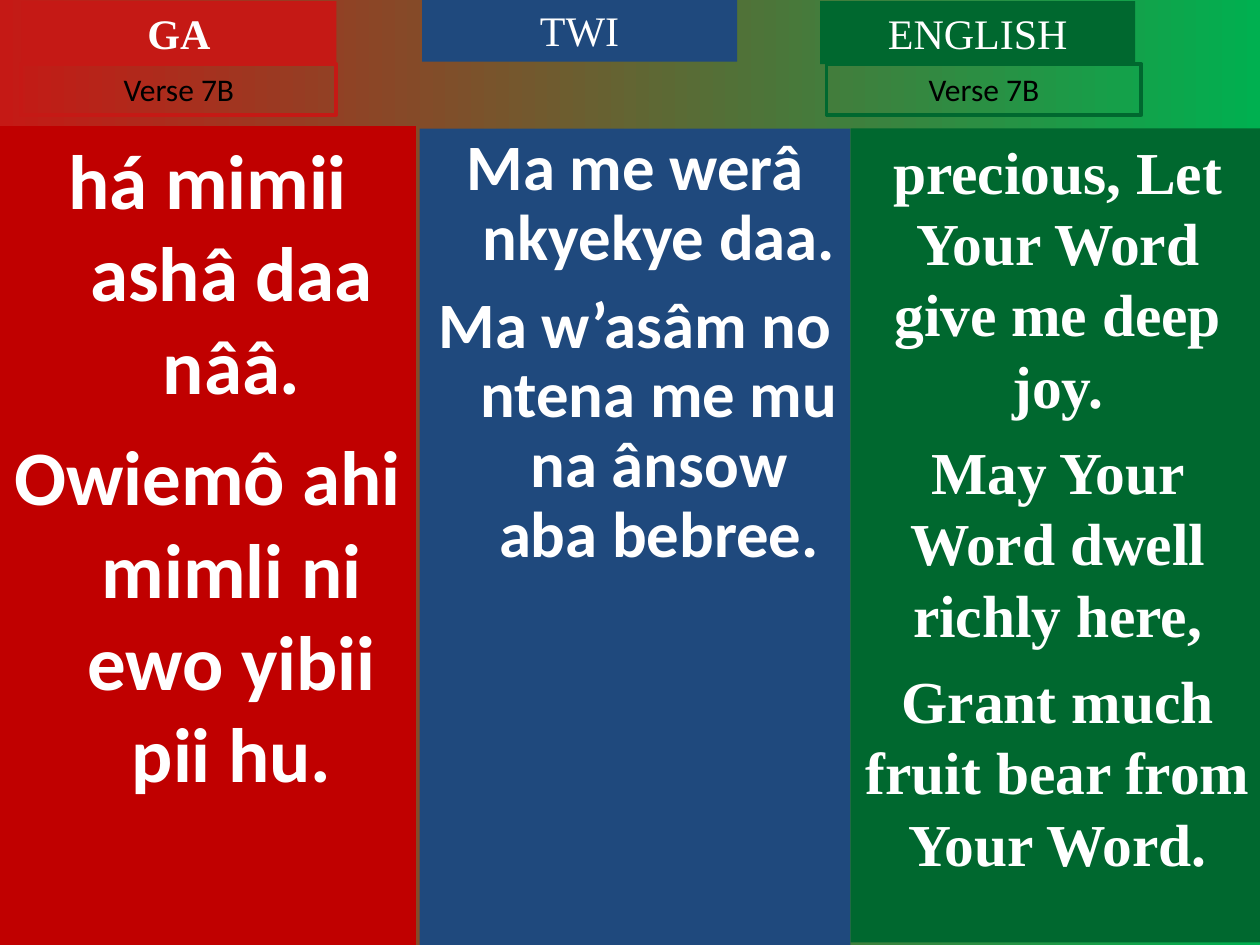
from pptx import Presentation
from pptx.dml.color import RGBColor
from pptx.enum.shapes import MSO_SHAPE
from pptx.enum.text import MSO_ANCHOR, MSO_AUTO_SIZE, PP_ALIGN
from pptx.oxml.ns import qn
from pptx.util import Inches, Pt
from lxml import etree

RECTANGLE = MSO_SHAPE.RECTANGLE
TOP = MSO_ANCHOR.TOP
NO_AUTOFIT = MSO_AUTO_SIZE.NONE
CENTER = PP_ALIGN.CENTER

COLORS = {
    "red": "C51915", "deep red": "C00000", "blue": "1F497D",
    "dark green": "00682F", "green": "00B050",
    "white": "FFFFFF", "black": "000000",
}
SERIF, SANS = "Times New Roman", "Calibri"
HANGING = 0.38

# Each box is left, top, width, height in inches; holder is a placeholder index.
VERSES = [
    {"box": (0, 1, 3.3, 6.5), "fill": "deep red", "holder": 1,
     "lines": ["há mimii ashâ daa nââ.",
               "Owiemô ahi mimli ni ewo yibii pii hu."],
     "format": dict(size=44, font=SANS, bold=True, before=11, hanging=HANGING)},
    {"box": (3.33, 1.02, 3.42, 6.48), "fill": "blue", "holder": 2,
     "lines": ["Ma me werâ nkyekye daa.",
               "Ma w’asâm no ntena me mu na ânsow aba bebree."],
     "format": dict(size=37, font=SANS, bold=True, before=10, hanging=HANGING,
                    spacing=0.9)},
    {"box": (6.75, 1.02, 3.29, 6.46), "fill": "dark green",
     "lines": ["precious, Let Your Word give me deep joy.",
               "May Your Word dwell richly here,",
               "Grant much fruit bear from Your Word."],
     "format": dict(size=34, font=SERIF, bold=True, before=8.5)},
]
HEADINGS = [
    {"box": (0.17, 0.01, 2.5, 0.5), "fill": "red", "holder": 0,
     "lines": ["GA"], "format": dict(size=24, font=SERIF, bold=True)},
    {"box": (3.35, -0.01, 2.5, 0.5), "fill": "blue",
     "lines": ["TWI"], "format": dict(size=24, font=SERIF)},
    {"box": (6.51, 0.01, 2.5, 0.5), "fill": "dark green",
     "lines": ["ENGLISH"], "format": dict(size=24, font=SERIF)},
]
VERSE_LABELS = [
    {"box": (left, 0.51, 2.5, 0.4), "outline": outline, "lines": ["Verse 7B"],
     "format": dict(size=18, font=SANS, color="black")}
    for left, outline in [(0.17, "red"), (6.56, "dark green")]
]


def rgb(name):
    return RGBColor.from_string(COLORS[name])


def write_text(frame, lines, *, size, font, color="white", bold=False,
               before=0, hanging=0, spacing=1.0):
    frame.word_wrap = True
    frame.auto_size = NO_AUTOFIT
    frame.vertical_anchor = TOP
    for number, line in enumerate(lines):
        paragraph = frame.add_paragraph() if number else frame.paragraphs[0]
        paragraph.alignment = CENTER
        paragraph.line_spacing = spacing
        paragraph.space_before = Pt(before if number else 0)
        properties = paragraph._p.get_or_add_pPr()
        properties.set("marL", str(Inches(hanging)))
        properties.set("indent", str(-Inches(hanging)))
        etree.SubElement(properties, qn("a:buNone"))
        run = paragraph.add_run()
        run.text = line
        run.font.size = Pt(size)
        run.font.name = font
        run.font.bold = bold
        run.font.color.rgb = rgb(color)


def add_panel(slide, panel):
    """Place one text panel, in its placeholder if it has one."""
    left, top, width, height = map(Inches, panel["box"])
    if "holder" in panel:
        shape = slide.placeholders[panel["holder"]]
        shape.left, shape.top, shape.width, shape.height = left, top, width, height
    else:
        shape = slide.shapes.add_shape(RECTANGLE, left, top, width, height)
        shape.shadow.inherit = False
    if "fill" in panel:
        shape.fill.solid()
        shape.fill.fore_color.rgb = rgb(panel["fill"])
    else:
        shape.fill.background()
    if "outline" in panel:
        shape.line.color.rgb = rgb(panel["outline"])
        shape.line.width = Pt(2.25)
    else:
        shape.line.fill.background()
    write_text(shape.text_frame, panel["lines"], **panel["format"])


def main():
    presentation = Presentation()
    presentation.slide_width = Inches(10)
    presentation.slide_height = Inches(7.5)
    two_content = presentation.slide_layouts[3]
    slide = presentation.slides.add_slide(two_content)

    background = slide.background.fill
    background.gradient()
    background.gradient_angle = 0
    for stop, color in zip(background.gradient_stops, ("red", "green")):
        stop.color.rgb = rgb(color)

    for panel in VERSES + HEADINGS + VERSE_LABELS:
        add_panel(slide, panel)
    presentation.save("out.pptx")


if __name__ == "__main__":
    main()
